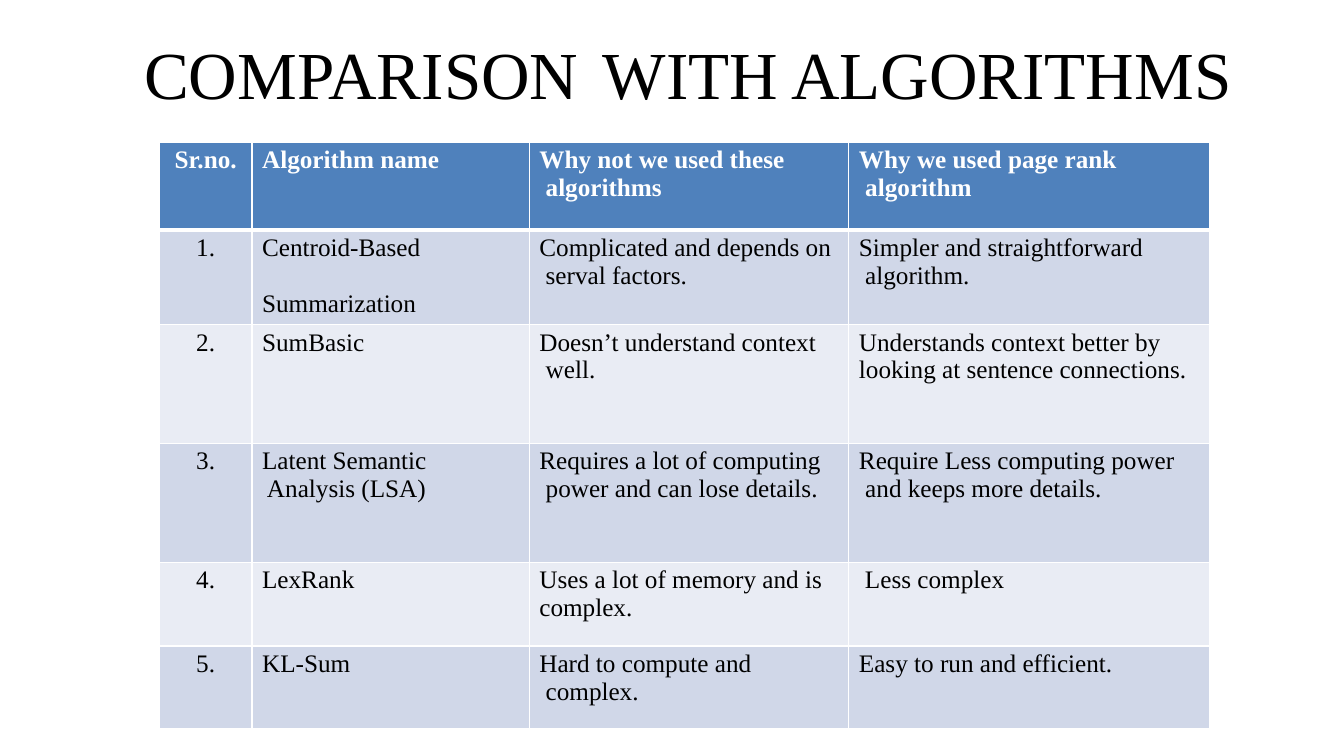
"""Build the slide comparing summarization algorithms."""
from dataclasses import dataclass

import lxml.etree
import pptx
import pptx.dml.color
import pptx.enum.text
import pptx.oxml.ns
import pptx.table
import pptx.text.text
import pptx.util

Inches = pptx.util.Inches
Pt = pptx.util.Pt

FONT = "Times New Roman"
COLORS = {
    "header": "4F81BC",
    "odd": "D0D7E8",
    "even": "E9ECF4",
    "white": "FFFFFF",
    "black": "000000",
}
COLUMN_WIDTHS = (0.92, 2.75, 3.17, 3.58)
CELL_INDENT = 0.1
LESS_COMPLEX_INDENT = 0.16


@dataclass(frozen=True)
class ComparisonRow:
    height: float
    number: str
    algorithm: str
    drawback: str
    advantage: str
    advantage_indent: float = CELL_INDENT


ROWS = (
    ComparisonRow(0.87, "Sr.no.", "Algorithm name", "Why not we used these\v algorithms",
                  "Why we used page rank\v algorithm"),
    ComparisonRow(0.88, "1.", "Centroid-Based\v\vSummarization",
                  "Complicated and depends on\v serval factors.",
                  "Simpler and straightforward\v algorithm."),
    ComparisonRow(1.18, "2.", "SumBasic", "Doesn’t understand context\v well.",
                  "Understands context better by\vlooking at sentence connections."),
    ComparisonRow(1.18, "3.", "Latent Semantic\v Analysis (LSA)",
                  "Requires a lot of computing\v power and can lose details.",
                  "Require Less computing power\v and keeps more details."),
    ComparisonRow(0.83, "4.", "LexRank", "Uses a lot of memory and is\ncomplex.",
                  "Less complex", LESS_COMPLEX_INDENT),
    ComparisonRow(0.82, "5.", "KL-Sum", "Hard to compute and\v complex.",
                  "Easy to run and efficient."),
)


def rgb(name: str) -> pptx.dml.color.RGBColor:
    return pptx.dml.color.RGBColor.from_string(COLORS[name])


def add_xml(parent: lxml.etree._Element, tag: str, **attributes: str) -> lxml.etree._Element:
    return lxml.etree.SubElement(parent, pptx.oxml.ns.qn(tag), **attributes)


def style_font(paragraph: pptx.text.text._Paragraph, size: float, color: str,
               bold: bool = False) -> None:
    paragraph.font.name = FONT
    paragraph.font.size = Pt(size)
    paragraph.font.bold = bold
    paragraph.font.color.rgb = rgb(color)


def add_borders(cell: pptx.table._Cell, row_index: int) -> None:
    properties = cell._tc.get_or_add_tcPr()
    thick_side = {0: "a:lnB", 1: "a:lnT"}.get(row_index)
    for side in ("a:lnL", "a:lnR", "a:lnT", "a:lnB"):
        width = Pt(3 if side == thick_side else 1)
        line = add_xml(properties, side, w=str(width))
        add_xml(add_xml(line, "a:solidFill"), "a:srgbClr", val=COLORS["white"])


def fill_cell(cell: pptx.table._Cell, text: str, row_index: int, indent: float,
              centered: bool) -> None:
    is_header = row_index == 0
    add_borders(cell, row_index)
    cell.fill.solid()
    cell.fill.fore_color.rgb = rgb("header" if is_header else "odd" if row_index % 2 else "even")
    cell.margin_left = Inches(indent)
    cell.margin_right = cell.margin_bottom = 0
    cell.margin_top = Inches(0.04)
    cell.text_frame.text = text
    for position, paragraph in enumerate(cell.text_frame.paragraphs):
        paragraph.space_before = Pt(0 if position else 3)
        if centered:
            paragraph.alignment = pptx.enum.text.PP_ALIGN.CENTER
        style_font(paragraph, 18, "white" if is_header else "black", is_header)


def add_title(slide: pptx.slide.Slide) -> None:
    shape = slide.shapes.add_textbox(Inches(1.42), Inches(0.31), Inches(10.84), Inches(0.83))
    frame = shape.text_frame
    frame.word_wrap = True
    frame.margin_left = frame.margin_top = Inches(0.01)
    frame.margin_right = frame.margin_bottom = 0
    paragraph = frame.paragraphs[0]
    paragraph.text = "COMPARISON\tWITH ALGORITHMS"
    paragraph.space_before = Pt(1)
    tabs = add_xml(paragraph._p.get_or_add_pPr(), "a:tabLst")
    add_xml(tabs, "a:tab", pos=str(Inches(4.55)), algn="l")
    style_font(paragraph, 48, "black")


def add_comparison_table(slide: pptx.slide.Slide) -> None:
    table = slide.shapes.add_table(
        len(ROWS), len(COLUMN_WIDTHS), Inches(1.58), Inches(1.41),
        Inches(sum(COLUMN_WIDTHS)), Inches(sum(row.height for row in ROWS))).table
    table.first_row = table.horz_banding = False
    for column, width in zip(table.columns, COLUMN_WIDTHS):
        column.width = Inches(width)
    for row_index, row in enumerate(ROWS):
        table.rows[row_index].height = Inches(row.height)
        texts = (row.number, row.algorithm, row.drawback, row.advantage)
        indents = (0, CELL_INDENT, CELL_INDENT, row.advantage_indent)
        for column_index, (text, indent) in enumerate(zip(texts, indents)):
            fill_cell(table.cell(row_index, column_index), text, row_index, indent,
                      centered=column_index == 0)


def main() -> None:
    presentation = pptx.Presentation()
    presentation.slide_width = Inches(13.33)
    presentation.slide_height = Inches(7.5)
    slide = presentation.slides.add_slide(presentation.slide_layouts[6])
    add_title(slide)
    add_comparison_table(slide)
    presentation.save("out.pptx")


if __name__ == "__main__":
    main()
